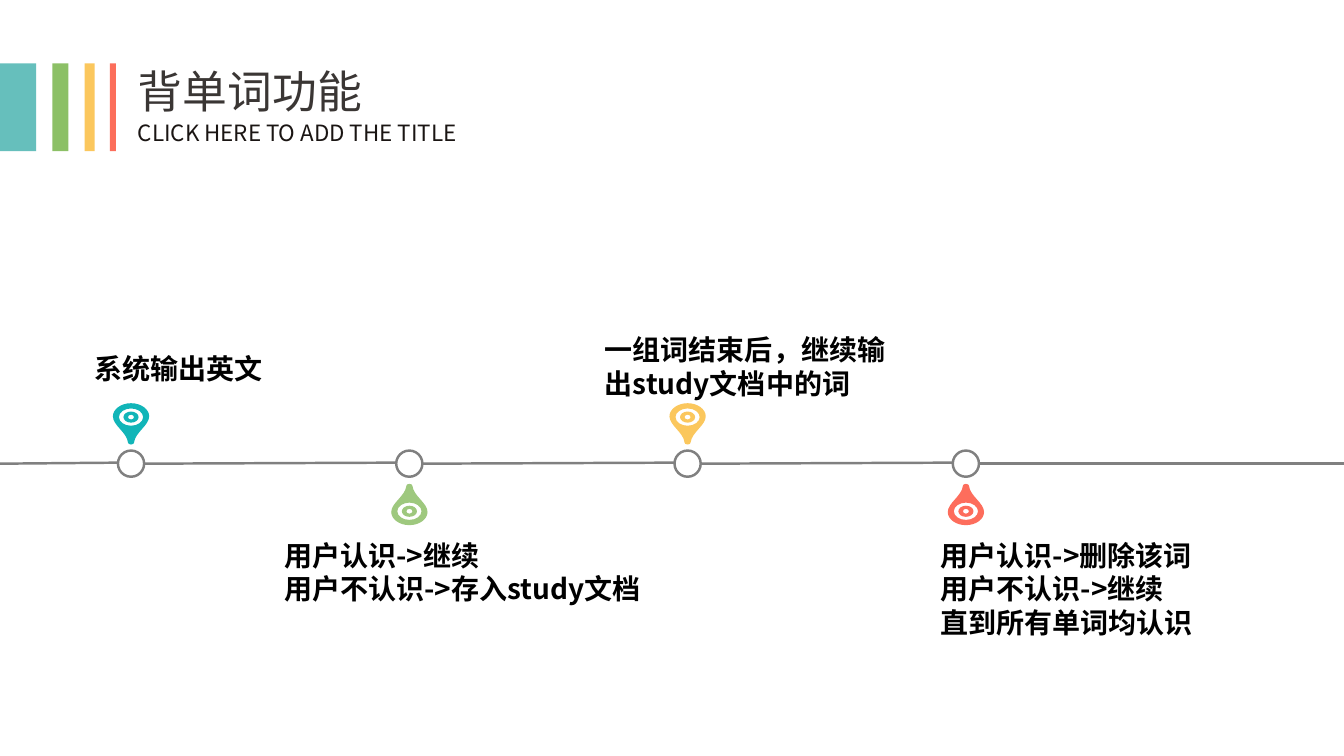
from lxml import etree
from pptx import Presentation
from pptx import util as u
from pptx.dml.color import RGBColor
from pptx.enum import shapes, text
from pptx.oxml import ns

FONT = "Noto Sans CJK SC"
BLACK = RGBColor(0x00, 0x00, 0x00)
INK = RGBColor(0x1A, 0x15, 0x13)
GRAY = RGBColor(0x80, 0x80, 0x80)
TEAL = RGBColor(0x66, 0xBF, 0xBC)
GREEN = RGBColor(0x8C, 0xC0, 0x66)
YELLOW = RGBColor(0xFB, 0xC7, 0x5D)
RED = RGBColor(0xFC, 0x6E, 0x5B)
PIN_TEAL = RGBColor(0x11, 0xB5, 0xB8)
PIN_GREEN = RGBColor(0x9E, 0xC8, 0x7E)
PIN_RED = RGBColor(0xFD, 0x6D, 0x5C)

SLIDE_WIDTH, SLIDE_HEIGHT = 13.33, 7.5
RING = 0.26

# Pin geometry in thousandths of an inch; each curve is two controls and an end
PIN_WIDTH, PIN_HEIGHT = 360, 410
PIN_START = (0, 130)
PIN_CURVES = [
    ((0, 220), (140, 290), (150, 390)),
    ((150, 400), (160, 410), (180, 410)),
    ((200, 410), (210, 400), (210, 390)),
    ((220, 290), (360, 220), (360, 130)),
    ((360, 60), (280, 0), (180, 0)),
    ((80, 0), (0, 60), PIN_START),
]
PIN_EYE = (180, 138)
EYE_RADII = [(30, 24), (75, 55), (120, 86)]
ARC = 0.55  # control length that makes a Bezier curve a quarter ellipse

# Pin colour, label lines, label box (left and top from the stop, width, height), wrapped
STOPS = [
    (PIN_TEAL, ["系统输出英文"], (-0.46, -1.16, 1.88, 0.44), False),
    (PIN_GREEN, ["用户认识->继续", "用户不认识->存入study文档"],
     (-1.34, 0.69, 3.78, 0.77), True),
    (YELLOW, ["一组词结束后，继续输出study文档中的词"],
     (-0.92, -1.35, 3.03, 0.77), True),
    (PIN_RED, ["用户认识->删除该词", "用户不认识->继续", "直到所有单词均认识"],
     (-0.35, 0.69, 2.77, 1.11), True),
]


def inches(*lengths):
    return [u.Inches(length) for length in lengths]


def paint(shape, color):
    shape.shadow.inherit = False
    shape.fill.solid()
    shape.fill.fore_color.rgb = color
    shape.line.fill.background()


def add_text(slide, box, lines, size, color, bold=False, wrap=True):
    text_box = slide.shapes.add_textbox(*inches(*box))
    frame = text_box.text_frame
    frame.text = "\n".join(lines)
    frame.word_wrap = wrap
    frame.auto_size = text.MSO_AUTO_SIZE.SHAPE_TO_FIT_TEXT
    for paragraph in frame.paragraphs:
        for run in paragraph.runs:
            run.font.size = u.Pt(size)
            run.font.bold = bold
            run.font.name = FONT
            run.font.color.rgb = color
            east_asian = etree.SubElement(run.font._element, ns.qn("a:ea"))
            east_asian.set("typeface", FONT)
    return frame


def ellipse_curves(center, radii):
    """Return the start point and the four quarter curves of an ellipse."""
    unit = [((-1, -ARC), (-ARC, -1), (0, -1)), ((ARC, -1), (1, -ARC), (1, 0)),
            ((1, ARC), (ARC, 1), (0, 1)), ((-ARC, 1), (-1, ARC), (-1, 0))]
    curves = [[(center[0] + x * radii[0], center[1] + y * radii[1]) for x, y in curve]
              for curve in unit]
    return curves[-1][-1], curves


def append_contour(outline, start, curves):
    for tag, points in [("a:moveTo", [start])] + [("a:cubicBezTo", curve) for curve in curves]:
        command = etree.SubElement(outline, ns.qn(tag))
        for x, y in points:
            point = etree.SubElement(command, ns.qn("a:pt"))
            point.set("x", str(round(x)))
            point.set("y", str(round(y)))
    etree.SubElement(outline, ns.qn("a:close"))


def add_pin(slide, left, top, color, points_up):
    """Draw a map pin whose eye is cut out by alternating rings."""
    builder = slide.shapes.build_freeform(0, 0, scale=u.Inches(1) / 1000)
    builder.add_line_segments([(PIN_WIDTH, 0), (PIN_WIDTH, PIN_HEIGHT), (0, PIN_HEIGHT)])
    pin = builder.convert_to_shape(*inches(left, top))
    outline = next(pin._element.iter(ns.qn("a:path")))
    for command in list(outline):
        outline.remove(command)
    outline.set("w", str(PIN_WIDTH))
    outline.set("h", str(PIN_HEIGHT))
    append_contour(outline, PIN_START, PIN_CURVES)
    for radii in EYE_RADII:
        append_contour(outline, *ellipse_curves(PIN_EYE, radii))
    paint(pin, color)
    pin.rotation = 180 if points_up else 0


def add_rail(slide, start, end):
    rail = slide.shapes.add_connector(shapes.MSO_CONNECTOR.STRAIGHT, *inches(*start, *end))
    rail.line.color.rgb = GRAY
    rail.line.width = u.Pt(1.75)
    etree.SubElement(rail._element.spPr, ns.qn("a:effectLst"))


def add_header(slide, left, top, height):
    """Draw the colour bars with the title and subtitle beside them."""
    bars = [(-0.01, 0.37, TEAL), (0.52, 0.16, GREEN), (0.84, 0.1, YELLOW), (1.09, 0.06, RED)]
    for offset, width, color in bars:
        bar = slide.shapes.add_shape(
            shapes.MSO_SHAPE.RECTANGLE, *inches(left + offset, top, width, height))
        paint(bar, color)
    title = add_text(slide, (left + 1.27, top - 0.05, 3.81, 0.64), ["背单词功能"], 32, INK)
    ink = next(title._txBody.iter(ns.qn("a:srgbClr")))
    etree.SubElement(ink, ns.qn("a:alpha")).set("val", "85000")
    subtitle = add_text(slide, (left + 1.27, top + 0.5, 3.71, 0.37),
                        ["CLICK HERE TO ADD THE TITLE"], 16, INK)
    subtitle.paragraphs[0].alignment = text.PP_ALIGN.JUSTIFY


def add_timeline(slide, left, middle, width, first_stop, step):
    """Draw the rail with its stops; pins and labels alternate above and below."""
    rail_start = left
    for index, (color, lines, label, wrap) in enumerate(STOPS):
        center = left + first_stop + index * step
        below = index % 2 == 1
        add_rail(slide, (rail_start, middle), (center - RING / 2, middle - 0.01))
        rail_start = center + RING / 2
        ring = slide.shapes.add_shape(
            shapes.MSO_SHAPE.OVAL,
            *inches(center - RING / 2, middle - RING / 2, RING, RING))
        ring.shadow.inherit = False
        ring.fill.background()
        ring.line.color.rgb = GRAY
        ring.line.width = u.Pt(1.75)
        pin_top = middle + (0.2 if below else -0.6)
        add_pin(slide, center - PIN_WIDTH / 2000, pin_top, color, below)
        x, y, label_width, label_height = label
        add_text(slide, (center + x, middle + y, label_width, label_height),
                 lines, 20, BLACK, bold=True, wrap=wrap)
    add_rail(slide, (rail_start, middle), (left + width, middle))


def main():
    presentation = Presentation()
    presentation.slide_width, presentation.slide_height = inches(SLIDE_WIDTH, SLIDE_HEIGHT)
    slide = presentation.slides.add_slide(presentation.slide_layouts[6])
    add_header(slide, left=0, top=0.63, height=0.87)
    add_timeline(slide, left=0, middle=4.6, width=SLIDE_WIDTH, first_stop=1.3, step=2.76)
    presentation.save("out.pptx")


if __name__ == "__main__":
    main()
